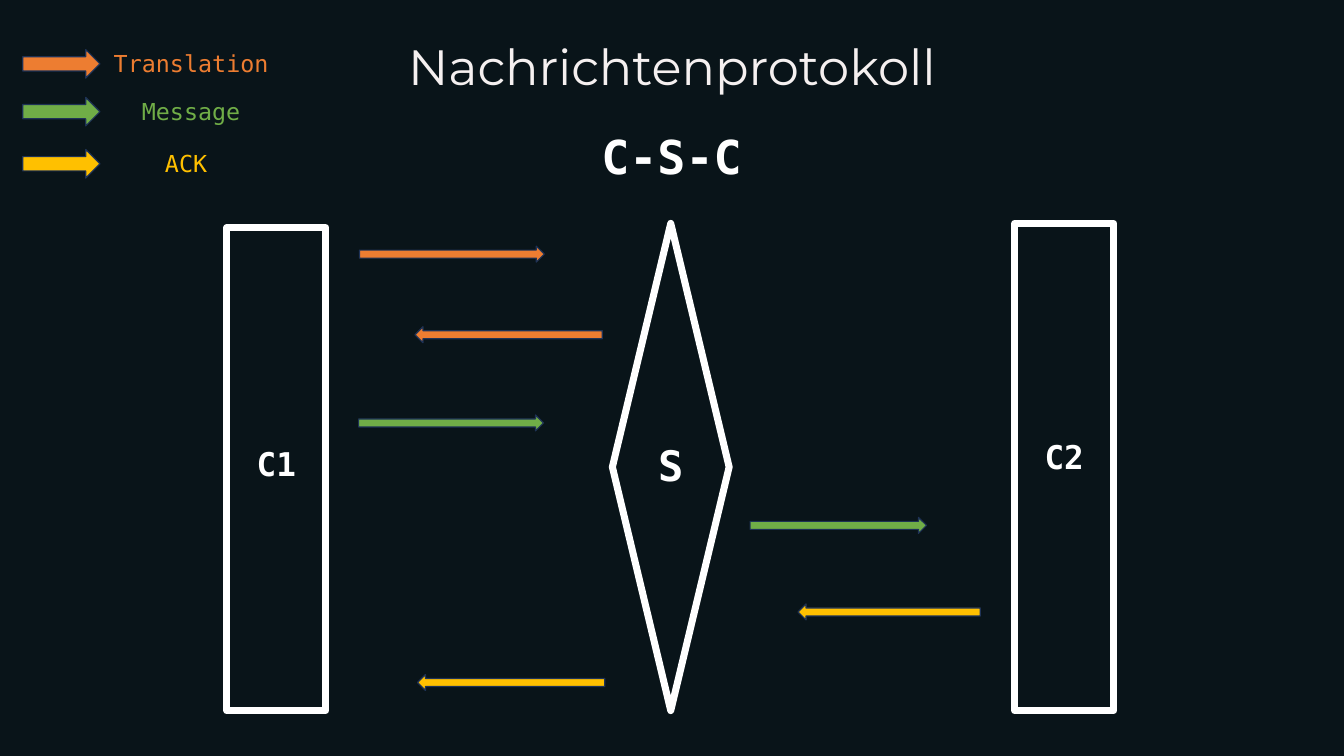
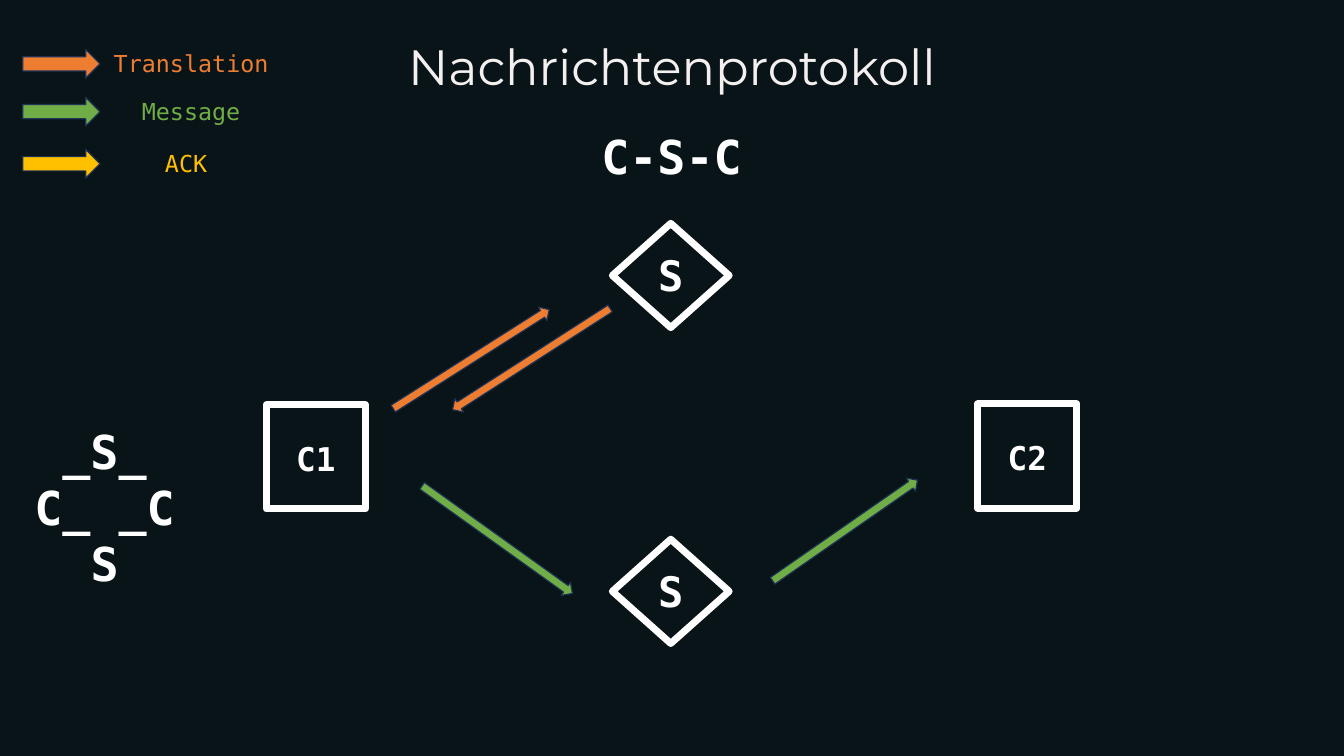
"""Build two slides that show how messages pass between clients and servers."""
import pptx
import pptx.dml.color
import pptx.enum.shapes
import pptx.enum.text
import pptx.util

Inches = pptx.util.Inches
Pt = pptx.util.Pt
SHAPE = pptx.enum.shapes.MSO_SHAPE
COLORS = {
    "background": "091419",
    "title": "F5F0F0",
    "white": "FFFFFF",
    "outline": "1E3256",
    "translation": "ED7D31",
    "message": "70AD47",
    "ack": "FFC000",
}


def rgb(name):
    return pptx.dml.color.RGBColor.from_string(COLORS[name])


class Deck:
    mono = "DejaVu Sans Mono"
    title_font = "Montserrat"
    legend = [
        ("Translation", "translation", 0.59, 1.25),
        ("Message", "message", 1.16, 1.25),
        ("ACK", "ack", 1.78, 1.19),
    ]

    def __init__(self):
        self.prs = pptx.Presentation()
        self.prs.slide_width = Inches(16)
        self.prs.slide_height = Inches(9)
        fill = self.prs.slide_master.background.fill
        fill.solid()
        fill.fore_color.rgb = rgb("background")
        self.s = None

    def start_slide(self):
        self.s = self.prs.slides.add_slide(self.prs.slide_layouts[6])
        self.title("Nachrichtenprotokoll")
        self.text("C-S-C", 6.68, 1.47, 2.63, 0.77, 40)
        for label, kind, y, label_x in self.legend:
            shapes = self.s.shapes.add_group_shape().shapes
            self.arrow(kind, 0.27, y, 0.92, height=0.34, shapes=shapes)
            self.text(label, label_x, y - 0.05, 2.05, 0.44, 20, kind, False, shapes=shapes)

    def text(self, text, x, y, w, h, size, color="white", bold=True, font=mono, shapes=None):
        shapes = shapes or self.s.shapes
        sp = shapes.add_textbox(Inches(x), Inches(y), Inches(w), Inches(h))
        tf = sp.text_frame
        tf.word_wrap = True
        tf.auto_size = pptx.enum.text.MSO_AUTO_SIZE.SHAPE_TO_FIT_TEXT
        tf.text = text
        for p in tf.paragraphs:
            p.alignment = pptx.enum.text.PP_ALIGN.CENTER
            for r in p.runs:
                r.font.name = font
                r.font.size = Pt(size)
                r.font.bold = bold
                r.font.color.rgb = rgb(color)
        return tf

    def title(self, text):
        tf = self.text(text, 4.97, 0.4, 6.06, 0.74, 42.5, "title", False, self.title_font)
        tf.auto_size = pptx.enum.text.MSO_AUTO_SIZE.NONE
        tf.word_wrap = False
        tf.margin_left = tf.margin_right = tf.margin_top = tf.margin_bottom = 0
        tf.paragraphs[0].line_spacing = Pt(53)

    def arrow(self, kind, x, y, w, rotation=0, height=0.19, shapes=None):
        shapes = shapes or self.s.shapes
        sp = shapes.add_shape(SHAPE.RIGHT_ARROW, Inches(x), Inches(y), Inches(w), Inches(height))
        sp.shadow.inherit = False
        sp.rotation = rotation
        sp.fill.solid()
        sp.fill.fore_color.rgb = rgb(kind)
        sp.line.color.rgb = rgb("outline")
        sp.line.width = Pt(1)

    def node(self, preset, label, x, y, w, h, size, label_w, label_h, shift):
        label_x = x + (w - label_w) / 2
        label_y = y + (h - label_h) / 2 + shift
        self.text(label, label_x, label_y, label_w, label_h, size)
        sp = self.s.shapes.add_shape(preset, Inches(x), Inches(y), Inches(w), Inches(h))
        sp.shadow.inherit = False
        sp.fill.background()
        sp.line.color.rgb = rgb("white")
        sp.line.width = Pt(6)

    def client(self, label, x, y, h, shift=0.02):
        self.node(SHAPE.RECTANGLE, label, x, y, 1.18, h, 28, 0.75, 0.57, shift)

    def server(self, y, h, shift=0):
        self.node(SHAPE.FLOWCHART_DECISION, "S", 7.29, y, 1.39, h, 36, 0.68, 0.71, shift)


def sequence_slide(deck):
    deck.start_slide()
    deck.client("C1", 2.7, 2.71, 5.75, -0.06)
    deck.server(2.66, 5.8, -0.02)
    deck.client("C2", 12.08, 2.66, 5.8, -0.12)
    for arrow in [
        ("translation", 4.28, 2.93, 2.2),
        ("translation", 4.94, 3.89, 2.23, 180),
        ("message", 4.27, 4.94, 2.2),
        ("message", 8.93, 6.16, 2.1),
        ("ack", 9.5, 7.19, 2.17, 180),
        ("ack", 4.97, 8.03, 2.23, 180),
    ]:
        deck.arrow(*arrow)


def two_server_slide(deck):
    deck.start_slide()
    deck.client("C1", 3.17, 4.82, 1.24)
    deck.client("C2", 11.64, 4.81, 1.24)
    for y in (2.66, 6.42):
        deck.server(y, 1.24)
    for arrow in [
        ("translation", 4.51, 4.18, 2.2, 327.6),
        ("translation", 5.21, 4.18, 2.23, 147.3),
        ("message", 4.82, 6.33, 2.2, 35.6),
        ("message", 9.01, 6.22, 2.1, 325.2),
    ]:
        deck.arrow(*arrow)
    deck.text("_S_\nC_ _C\nS", -0.07, 4.99, 2.63, 2.12, 40)


def main():
    deck = Deck()
    sequence_slide(deck)
    two_server_slide(deck)
    deck.prs.save("out.pptx")


if __name__ == "__main__":
    main()
